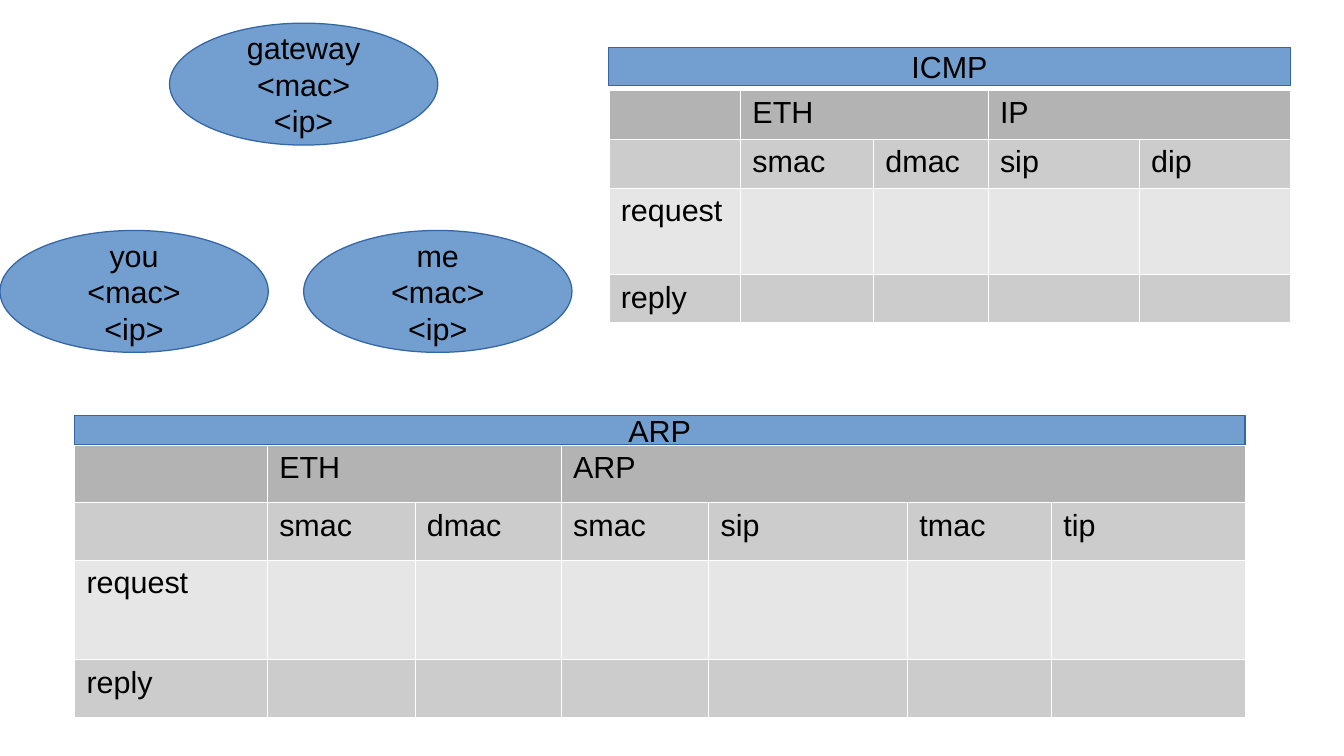
import pptx
import pptx.util
import pptx.dml.color
import pptx.enum.shapes
import pptx.enum.text
import pptx.oxml
import pptx.oxml.ns

Inches, Pt = pptx.util.Inches, pptx.util.Pt
SHAPES = pptx.enum.shapes.MSO_SHAPE
COLORS = {
    "blue": "729FCF",
    "outline": "3465A4",
    "text": "000000",
    "border": "FFFFFF",
    "group": "B3B3B3",
    "dark band": "CCCCCC",
    "light band": "E6E6E6",
}
ROW_FILLS = ["group", "dark band", "light band", "dark band"]


def rgb(name):
    return pptx.dml.color.RGBColor.from_string(COLORS[name])


def style_text(frame):
    for paragraph in frame.paragraphs:
        paragraph.font.name = "Arial"
        paragraph.font.size = Pt(18)
        paragraph.font.bold = False
        paragraph.font.color.rgb = rgb("text")


def add_label(slide, kind, box, text):
    """Blue shape with centred text."""
    label = slide.shapes.add_shape(kind, *map(Inches, box))
    label.shadow.inherit = False
    label.fill.solid()
    label.fill.fore_color.rgb = rgb("blue")
    label.line.color.rgb = rgb("outline")
    label.line.width = Pt(0.75)
    frame = label.text_frame
    frame.word_wrap = False
    frame.vertical_anchor = pptx.enum.text.MSO_ANCHOR.MIDDLE
    frame.text = text
    style_text(frame)
    for paragraph in frame.paragraphs:
        paragraph.alignment = pptx.enum.text.PP_ALIGN.CENTER


def add_borders(cell):
    properties = cell._tc.get_or_add_tcPr()
    for index, side in enumerate(("lnL", "lnR", "lnT", "lnB")):
        properties.insert(index, pptx.oxml.parse_xml(
            f'<a:{side} {pptx.oxml.ns.nsdecls("a")} w="{Pt(0.06)}"><a:solidFill>'
            f'<a:srgbClr val="{COLORS["border"]}"/></a:solidFill></a:{side}>'))


def add_hosts(slide, left, top):
    """Three hosts: the gateway above, you and me below."""
    for host, x, y in [("gateway", 1.39, 0), ("you", 0, 1.7), ("me", 2.49, 1.7)]:
        add_label(slide, SHAPES.OVAL, (left + x, top + y, 2.2, 1),
                  f"{host}\n<mac>\n<ip>")


def add_packet(slide, left, top, title, title_height, gap, widths, heights, groups):
    """Title bar over a table of header fields; groups maps a header to its fields."""
    width = sum(widths)
    add_label(slide, SHAPES.RECTANGLE, (left, top, width, title_height), title)
    box = (left, top + title_height + gap, width, sum(heights))
    table = slide.shapes.add_table(
        len(heights), len(widths), *map(Inches, box)).table
    table.first_row = table.horz_banding = False
    for column, column_width in zip(table.columns, widths):
        column.width = Inches(column_width)
    for row, height in zip(table.rows, heights):
        row.height = Inches(height)

    # Headers spanning their fields
    start = 1
    for header, fields in groups.items():
        end = start + len(fields)
        table.cell(0, start).merge(table.cell(0, end - 1))
        table.cell(0, start).text = header
        for column, field in enumerate(fields, start):
            table.cell(1, column).text = field
        start = end
    table.cell(2, 0).text = "request"
    table.cell(3, 0).text = "reply"

    # Fill, borders and font
    for row, fill in zip(table.rows, ROW_FILLS):
        for cell in row.cells:
            cell.fill.solid()
            cell.fill.fore_color.rgb = rgb(fill)
            add_borders(cell)
            style_text(cell.text_frame)


def main():
    deck = pptx.Presentation()
    deck.slide_width, deck.slide_height = Inches(11.02), Inches(6.2)
    slide = deck.slides.add_slide(deck.slide_layouts[6])
    add_packet(slide, 4.99, 0.39, "ICMP", 0.31, 0.04,
               [1.08, 1.09, 0.94, 1.24, 1.24], [0.4, 0.4, 0.71, 0.39],
               {"ETH": ["smac", "dmac"], "IP": ["sip", "dip"]})
    add_packet(slide, 0.61, 3.41, "ARP", 0.24, 0,
               [1.58, 1.21, 1.2, 1.21, 1.63, 1.18, 1.59], [0.47, 0.47, 0.82, 0.47],
               {"ETH": ["smac", "dmac"], "ARP": ["smac", "sip", "tmac", "tip"]})
    add_hosts(slide, 0, 0.19)
    deck.save("out.pptx")


if __name__ == "__main__":
    main()
